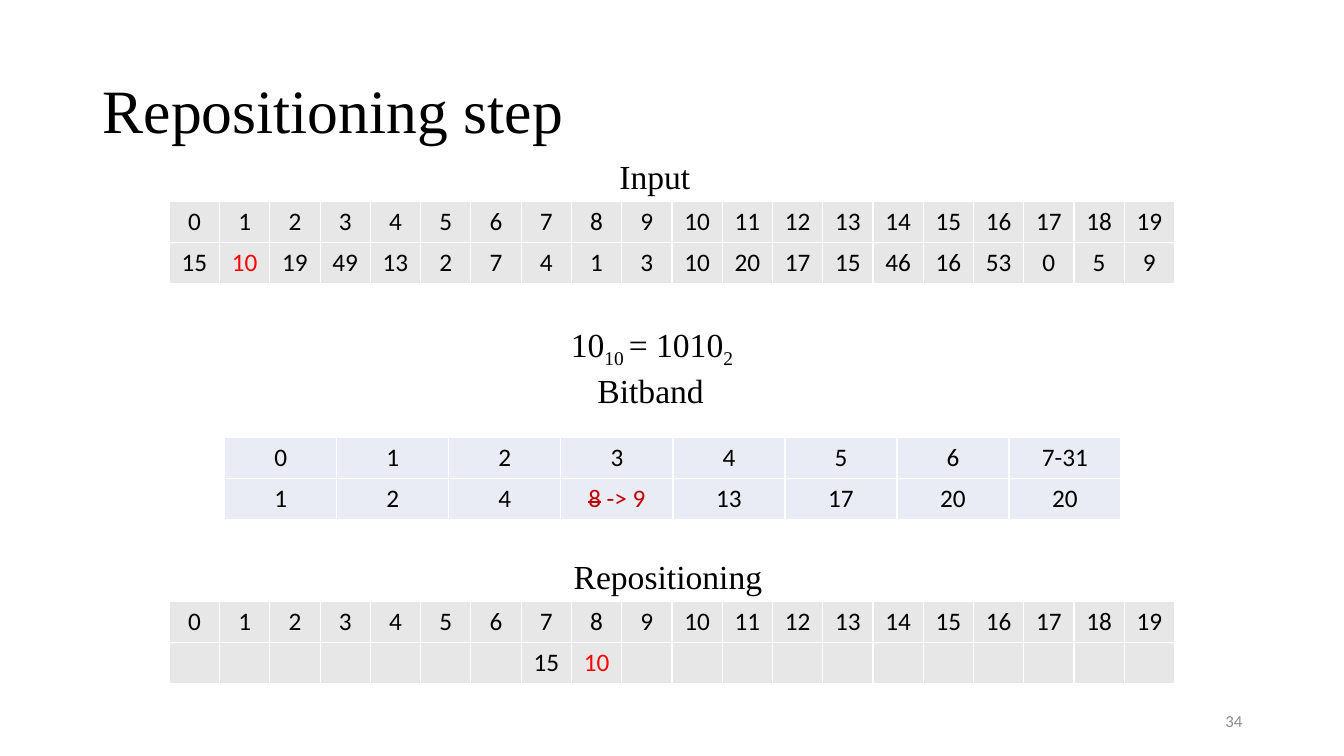
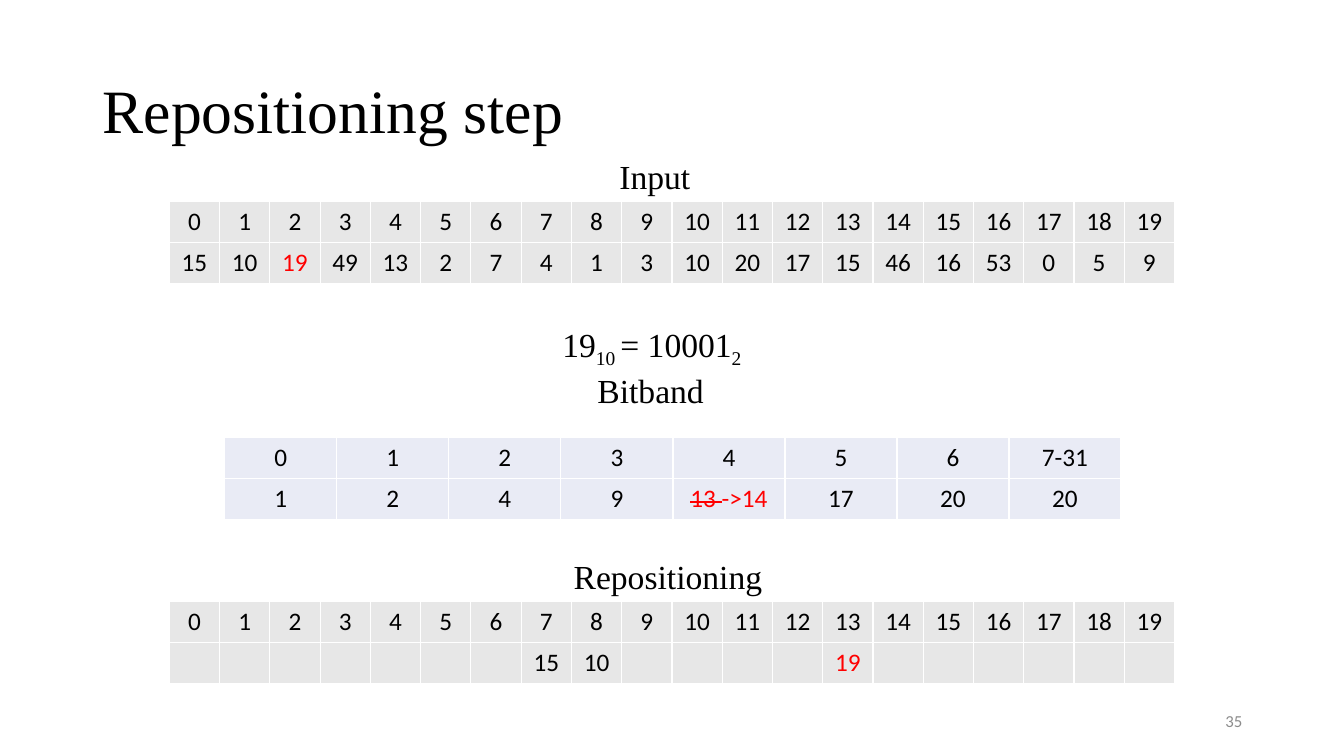
from lxml import etree
from pptx import Presentation
from pptx.dml.color import RGBColor
from pptx.enum.text import MSO_ANCHOR, MSO_AUTO_SIZE, PP_ALIGN
from pptx.oxml.ns import qn
from pptx.util import Inches, Pt

BLACK = RGBColor(0x00, 0x00, 0x00)
RED = RGBColor(0xFF, 0x00, 0x00)
DARK_RED = RGBColor(0xC0, 0x00, 0x00)
NUMBER_GRAY = RGBColor(0x8C, 0x8C, 0x8C)
ARRAY_GRAY = RGBColor(0xE7, 0xE7, 0xE7)
BAND_BLUE = RGBColor(0xE9, 0xEB, 0xF5)
SERIF = "Times New Roman"
SANS = "Calibri"

ROW_HEIGHT = 0.405
INDEXES = [str(i) for i in range(20)]
INPUT = "15 10 19 49 13 2 7 4 1 3 10 20 17 15 46 16 53 0 5 9".split()
BITS = ["0", "1", "2", "3", "4", "5", "6", "7-31"]

# In the bit band, a pair holds the struck-out value and its replacement.
STEPS = [
    dict(number="34", value="10", binary="1010", input_column=1,
         band=["1", "2", "4", ("8", " -> 9"), "13", "17", "20", "20"],
         band_column=3, band_color=DARK_RED,
         placed={7: "15", 8: "10"}, placed_column=8),
    dict(number="35", value="19", binary="10001", input_column=2,
         band=["1", "2", "4", "9", ("13 ", "->14"), "17", "20", "20"],
         band_column=4, band_color=RED,
         placed={7: "15", 8: "10", 13: "19"}, placed_column=13),
]


def add_text(page, left, top, width, height, parts, font=SERIF, size=24,
             color=BLACK, align=PP_ALIGN.CENTER):
    """Add a one-line text box; every second part is a subscript."""
    box = page.shapes.add_textbox(Inches(left), Inches(top), Inches(width), Inches(height))
    box.text_frame.word_wrap = len(parts) == 1
    box.text_frame.auto_size = MSO_AUTO_SIZE.NONE
    para = box.text_frame.paragraphs[0]
    para.alignment = align
    for i, part in enumerate(parts):
        span = para.add_run()
        span.text = part
        span.font.name, span.font.size = font, Pt(size)
        span.font.color.rgb = color
        if i % 2:
            span._r.get_or_add_rPr().set("baseline", "-25000")
    return box


def add_grid(page, left, top, width, rows, fill, marked_column, marked_color=RED):
    """Add a table whose second row has one coloured value."""
    columns = len(rows[0])
    table = page.shapes.add_table(len(rows), columns, Inches(left), Inches(top), Inches(width),
                                  Inches(ROW_HEIGHT * len(rows))).table
    table.first_row = table.horz_banding = False
    for column in table.columns:
        column.width = Inches(width / columns)
    for r, values in enumerate(rows):
        for c, value in enumerate(values):
            cell = table.cell(r, c)
            properties = cell._tc.get_or_add_tcPr()
            for side in ("a:lnL", "a:lnR", "a:lnT", "a:lnB"):
                line = etree.SubElement(properties, qn(side), w=str(Pt(1)))
                line_fill = etree.SubElement(line, qn("a:solidFill"))
                etree.SubElement(line_fill, qn("a:srgbClr"), val="FFFFFF")
            cell.fill.solid()
            cell.fill.fore_color.rgb = fill
            para = cell.text_frame.paragraphs[0]
            para.alignment = PP_ALIGN.CENTER
            para.font.size = Pt(18)
            replaced = isinstance(value, tuple)
            for i, part in enumerate(value if replaced else [value]):
                if not part:
                    continue
                span = para.add_run()
                span.text = part
                span.font.name, span.font.size = SANS, Pt(18)
                marked = r == 1 and c == marked_column
                span.font.color.rgb = marked_color if marked else BLACK
                if replaced and i == 0:
                    span._r.get_or_add_rPr().set("strike", "sngStrike")


deck = Presentation()
deck.slide_width, deck.slide_height = Inches(13.33), Inches(7.5)
title_only = deck.slide_layouts[5]

for step in STEPS:
    page = deck.slides.add_slide(title_only)
    title = page.shapes.title
    title.left, title.top = Inches(0.92), Inches(0.4)
    title.width, title.height = Inches(11.5), Inches(1.45)
    title.text_frame.text = "Repositioning step"
    title.text_frame.vertical_anchor = MSO_ANCHOR.MIDDLE
    para = title.text_frame.paragraphs[0]
    para.alignment = PP_ALIGN.LEFT
    para.line_spacing = 0.9
    span = para.runs[0]
    span.font.name, span.font.size = SERIF, Pt(44)
    span.font.color.rgb = BLACK

    add_text(page, 5.51, 1.5, 1.97, 0.5, ["Input"])
    add_grid(page, 1.68, 2, 9.97, [INDEXES, INPUT], ARRAY_GRAY, step["input_column"])

    add_text(page, 5.44, 3.16, 2.1, 0.5,
             [step["value"], "10 ", "= " + step["binary"], "2 "])
    add_text(page, 5.51, 3.62, 1.97, 0.5, ["Bitband "])
    add_grid(page, 2.23, 4.34, 8.89, [BITS, step["band"]], BAND_BLUE,
             step["band_column"], step["band_color"])

    add_text(page, 5.51, 5.47, 2.23, 0.5, ["Repositioning"])
    placed = [step["placed"].get(i, "") for i in range(len(INDEXES))]
    add_grid(page, 1.68, 5.97, 9.97, [INDEXES, placed], ARRAY_GRAY, step["placed_column"])

    number = add_text(page, 9.42, 6.95, 3, 0.4, [step["number"]], SANS, 12,
                      NUMBER_GRAY, PP_ALIGN.RIGHT)
    number.text_frame.vertical_anchor = MSO_ANCHOR.MIDDLE

deck.save("out.pptx")
